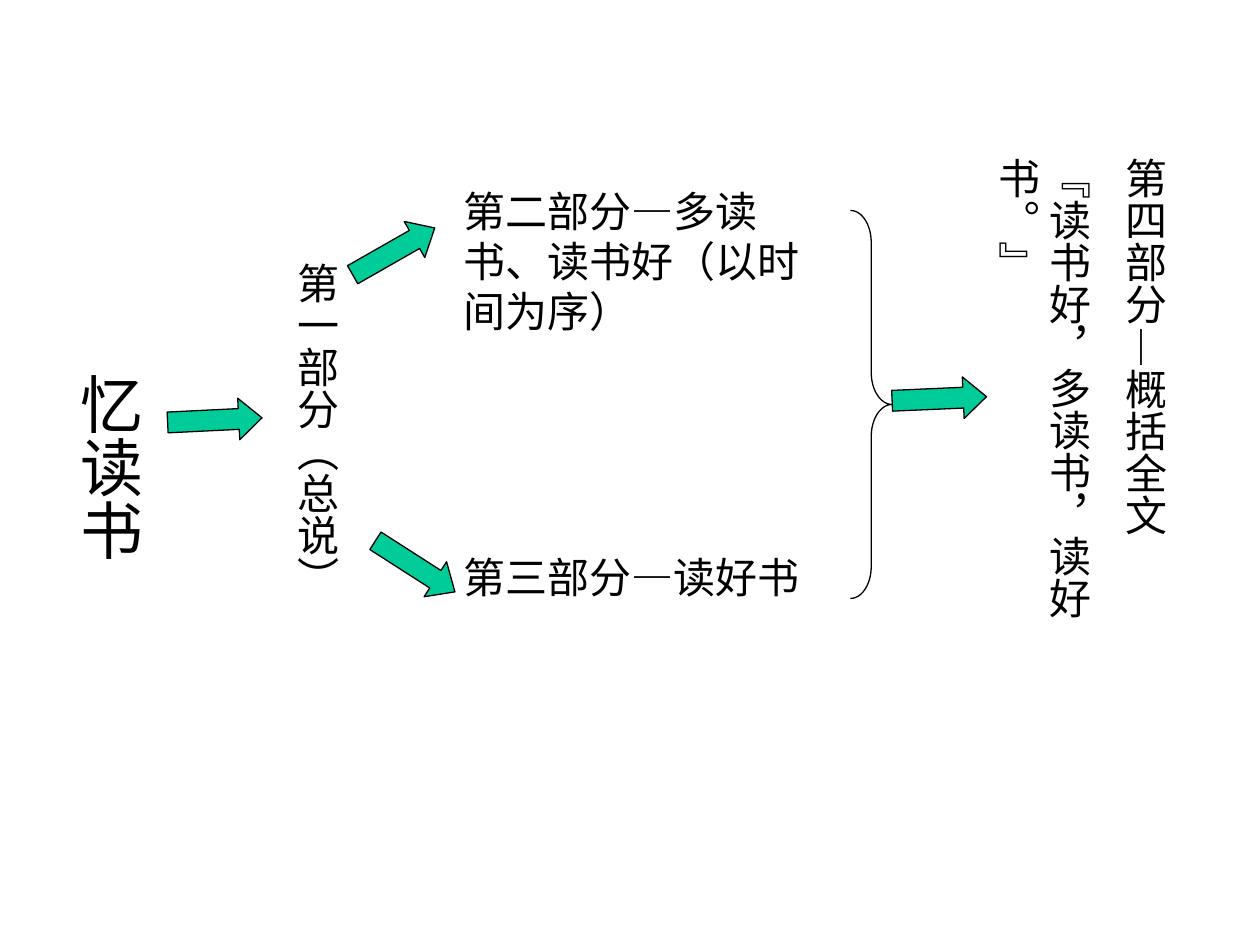
from dataclasses import dataclass

from pptx import Presentation
from pptx.dml.color import RGBColor
from pptx.enum.lang import MSO_LANGUAGE_ID as Language
from pptx.enum.shapes import MSO_SHAPE as Preset
from pptx.enum.text import MSO_AUTO_SIZE as AutoSize, MSO_ANCHOR as Anchor
from pptx.util import Inches, Pt

COLORS = {"text": "000000", "line": "000000", "arrow": "00CC99"}
FONT = "Times New Roman"
ARROW_SIZE = (0.75, 0.33)
LINE_WIDTH = 0.75
SPACE_BEFORE_RATIO = 0.625
WIDE_INSET, NARROW_INSET = 0.1, 0.05


@dataclass
class Label:
    """A block of text, one string per paragraph."""
    box: tuple[float, float, float, float]
    paragraphs: tuple[str, ...]
    size: int = 24
    vertical: bool = False


@dataclass
class Arrow:
    """A block arrow given by its unrotated corner and its angle."""
    left: float
    top: float
    angle: float


LABELS = (
    Label((0.42, 2.5, 0.8, 2.42), ("忆读书",), size=36, vertical=True),
    Label((2.17, 1.92, 0.6, 3), ("第一部分（总说）",), vertical=True),
    Label((3.58, 1.42, 3, 1.3), ("第二部分—多读书、读书好（以时间为序）",)),
    Label((3.58, 4.33, 3.17, 0.5), ("第三部分—读好书",)),
    Label((7.73, 0.75, 1.61, 4.67),
          ("第四部分—概括全文", "『读书好，多读书，读好书。』"), vertical=True),
)
ARROWS = (
    Arrow(1.33, 3.17, 357.2),
    Arrow(2.75, 1.83, 330.3),
    Arrow(2.92, 4.33, 32.7),
    Arrow(7.08, 3, 357.5),
)
BRACE_BOX = (6.75, 1.67, 0.33, 3.08)


def color(name: str) -> RGBColor:
    """Look up a named colour."""
    return RGBColor.from_string(COLORS[name])


def add_label(slide, label: Label) -> None:
    """Add a text box; vertical text is centred along its columns."""
    frame = slide.shapes.add_textbox(*map(Inches, label.box)).text_frame
    frame.word_wrap = True
    frame.auto_size = AutoSize.SHAPE_TO_FIT_TEXT
    frame.vertical_anchor = Anchor.TOP
    side, end = WIDE_INSET, NARROW_INSET
    if label.vertical:
        side, end = end, side
        frame._txBody.bodyPr.set("vert", "eaVert")
        frame._txBody.bodyPr.set("anchorCtr", "1")
    frame.margin_left = frame.margin_right = Inches(side)
    frame.margin_top = frame.margin_bottom = Inches(end)
    frame.text = "\n".join(label.paragraphs)
    for paragraph in frame.paragraphs:
        paragraph.space_before = Pt(label.size * SPACE_BEFORE_RATIO)
        paragraph.font.name = FONT
        paragraph.font.size = Pt(label.size)
        paragraph.font.color.rgb = color("text")
        paragraph.font.language_id = Language.SIMPLIFIED_CHINESE
        paragraph._p.pPr.set("hangingPunct", "0")


def add_outlined(slide, preset: Preset, box: tuple, adjustments: tuple):
    """Add a preset shape with a thin outline and no shadow."""
    shape = slide.shapes.add_shape(preset, *map(Inches, box))
    shape.shadow.inherit = False
    shape.line.color.rgb = color("line")
    shape.line.width = Pt(LINE_WIDTH)
    for index, value in enumerate(adjustments):
        shape.adjustments[index] = value
    return shape


def add_arrow(slide, arrow: Arrow) -> None:
    """Add a filled, rotated block arrow."""
    box = (arrow.left, arrow.top, *ARROW_SIZE)
    shape = add_outlined(slide, Preset.RIGHT_ARROW, box, (0.5, 0.56))
    shape.rotation = arrow.angle
    shape.fill.solid()
    shape.fill.fore_color.rgb = color("arrow")


def add_brace(slide) -> None:
    """Add the brace that joins the second and third parts."""
    brace = add_outlined(slide, Preset.RIGHT_BRACE, BRACE_BOX, (0.77, 0.5))
    brace.fill.background()


def main() -> None:
    """Build the outline of the text and save it."""
    presentation = Presentation()
    presentation.slide_width, presentation.slide_height = Inches(10), Inches(7.5)
    slide = presentation.slides.add_slide(presentation.slide_layouts[6])
    for label in LABELS:
        add_label(slide, label)
    add_brace(slide)
    for arrow in ARROWS:
        add_arrow(slide, arrow)
    presentation.save("out.pptx")


main()
